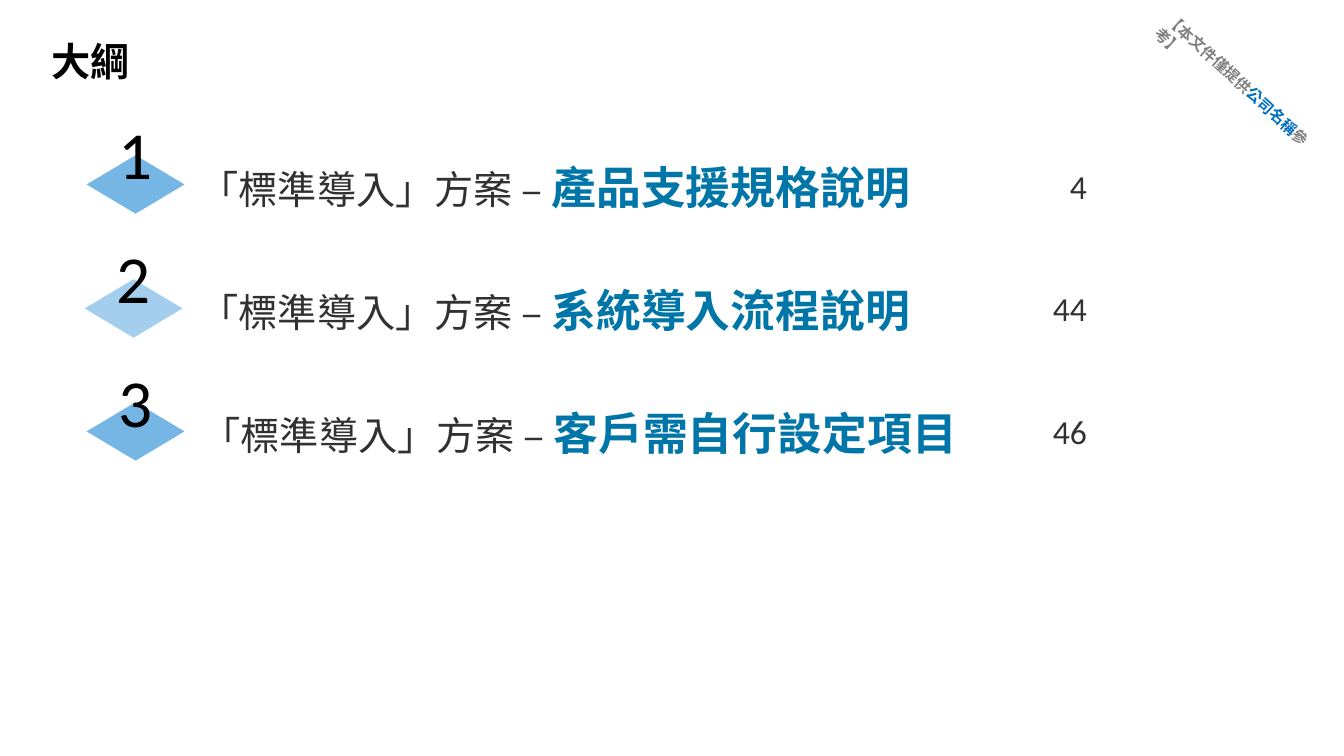
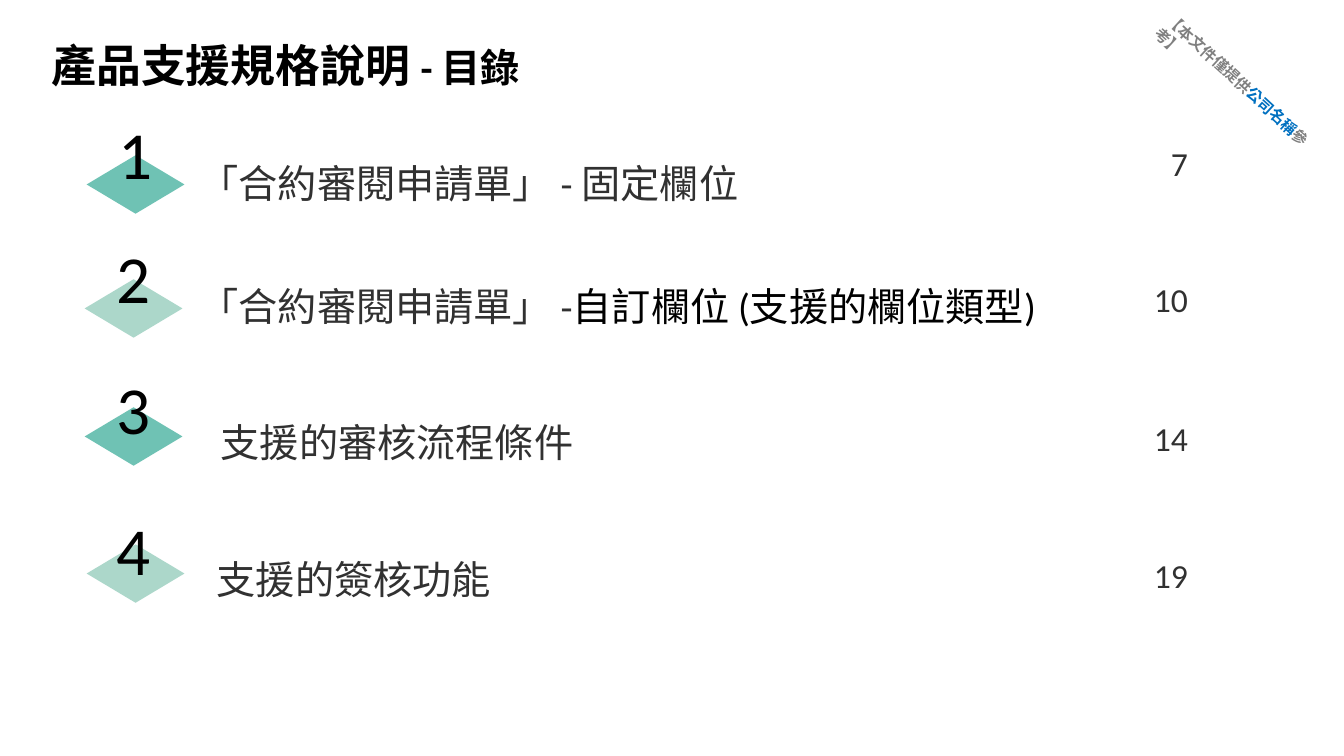
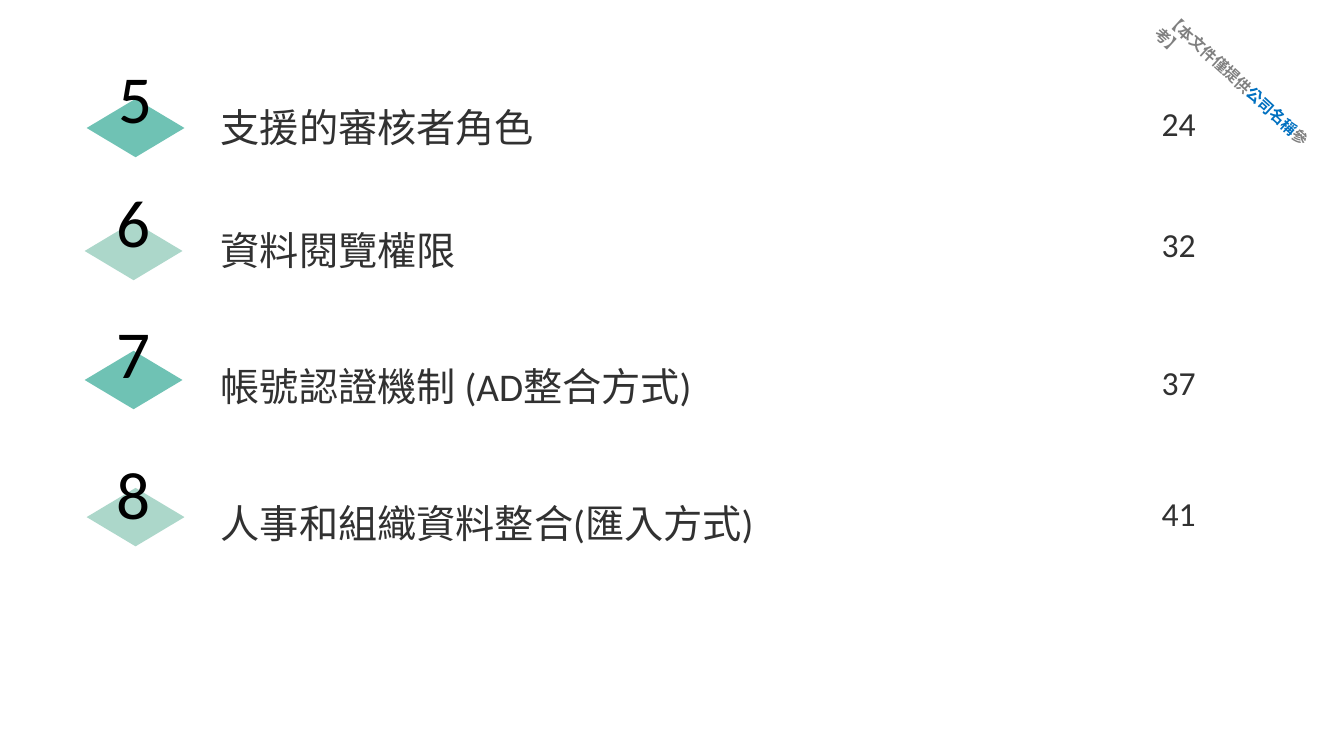
from pptx import Presentation
from pptx import util as u
from pptx.dml.color import RGBColor
from pptx.enum import shapes, text
from pptx.oxml.ns import qn
from lxml import etree

Inches, Pt = u.Inches, u.Pt

THEME = {
    "latin": "Calibri", "cjk": "Noto Sans CJK SC",
    "ink": "313131", "black": "000000", "white": "FFFFFF",
    "topic": "0076A8", "stamp": "808080", "client": "0070C0",
    "blues": ("75B6E5", "A3CEED"), "greens": ("6FC2B4", "ACD7CA"),
    "stamp_size": 11, "page_size": 24, "label_size": 28,
    "topic_size": 32, "number_size": 48,
}
LEFT, CENTER, RIGHT = (text.PP_ALIGN.LEFT, text.PP_ALIGN.CENTER, text.PP_ALIGN.RIGHT)
TOP, MIDDLE = text.MSO_ANCHOR.TOP, text.MSO_ANCHOR.MIDDLE


def add_filled(slide, preset, box, color):
    area = slide.shapes.add_shape(preset, *map(Inches, box))
    area.shadow.inherit = False
    area.fill.solid()
    area.fill.fore_color.rgb = RGBColor.from_string(color)
    area.line.fill.background()
    return area


def write(area, runs, align=LEFT, anchor=MIDDLE, insets=(0, 0, 0, 0)):
    """Fill a shape with one paragraph of (words, style) runs; insets run left, top, right, bottom."""
    frame = area.text_frame
    frame.word_wrap = True
    frame.vertical_anchor = anchor
    for side, inset in zip(("left", "top", "right", "bottom"), insets):
        setattr(frame, f"margin_{side}", Inches(inset))
    paragraph = frame.paragraphs[0]
    paragraph.alignment = align
    for words, (size, color, bold, face) in runs:
        run = paragraph.add_run()
        run.text = words
        for key, value in {"size": Pt(THEME[size]), "bold": bold, "name": THEME[face]}.items():
            setattr(run.font, key, value)
        run.font.color.rgb = RGBColor.from_string(THEME[color])
        properties = run._r.get_or_add_rPr()
        properties.set("lang", "zh-TW")
        properties.find(qn("a:latin")).addnext(
            etree.Element(qn("a:ea"), typeface=THEME["cjk"]))


# Text styles: size, colour, bold, face
LABEL = ("label_size", "ink", False, "latin")
LABEL_BLACK = ("label_size", "black", False, "latin")
TOPIC = ("topic_size", "topic", True, "cjk")
PAGE = ("page_size", "ink", False, "latin")
NUMBER = ("number_size", "black", False, "latin")
TITLE = ("label_size", "black", True, "latin")
TITLE_LARGE = ("topic_size", "black", True, "latin")
STAMP = ("stamp_size", "stamp", True, "cjk")
CLIENT = ("stamp_size", "client", True, "cjk")

PLAN = ("「標準導入」方案 – ", LABEL)

# Each entry: diamond left, diamond top, number left, number top,
# label left, label top, label runs, page top, page
outline = [
    (0.86, 1.54, 0.86, 1.11, 1.98, 1.58, [PLAN, ("產品支援規格說明", TOPIC)], 1.65, "4"),
    (0.84, 2.77, 0.84, 2.34, 1.98, 2.80, [PLAN, ("系統導入流程說明", TOPIC)], 2.86, "44"),
    (0.86, 3.99, 0.86, 3.57, 2.00, 4.02, [PLAN, ("客戶需自行設定項目", TOPIC)], 4.08, "46"),
]
contents = [
    (0.86, 1.54, 0.86, 1.11, 1.98, 1.58, [("「合約審閱申請單」 - 固定欄位", LABEL)], 1.42, "7"),
    (0.84, 2.77, 0.84, 2.34, 1.98, 2.80,
     [("「合約審閱申請單」 -", LABEL), ("自訂欄位 (支援的欄位類型)", LABEL_BLACK)], 2.77, "10"),
    (0.84, 4.04, 0.84, 3.64, 2.19, 4.15, [("支援的審核流程條件", LABEL)], 4.15, "14"),
    (0.86, 5.40, 0.84, 5.04, 2.15, 5.51, [("支援的簽核功能", LABEL)], 5.51, "19"),
]
contents_continued = [
    (0.86, 0.98, 0.86, 0.55, 2.19, 1.02, [("支援的審核者角色", LABEL)], 1.02, "24"),
    (0.84, 2.20, 0.84, 1.78, 2.19, 2.24, [("資料閱覽權限", LABEL)], 2.22, "32"),
    (0.84, 3.48, 0.84, 3.08, 2.19, 3.59, [("帳號認證機制 (AD整合方式)", LABEL)], 3.59, "37"),
    (0.86, 4.84, 0.84, 4.48, 2.19, 4.95, [("人事和組織資料整合(匯入方式)", LABEL)], 4.89, "41"),
]

# Each slide: title runs, diamond colours, first number, entries,
# label height, left of the page column, its right inset
agenda = [
    ([("大綱", TITLE)], "blues", 1, outline, 0.54, 10.37, 0.19),
    ([("產品支援規格說明 ", TITLE_LARGE), ("- 目錄", TITLE)],
     "greens", 1, contents, 0.47, 11.28, 0.1),
    ([], "greens", 5, contents_continued, 0.47, 11.3, 0.04),
]

deck = Presentation()
deck.slide_width, deck.slide_height = Inches(13.33), Inches(7.5)
blank = deck.slide_layouts[6]
RECTANGLE, DIAMOND = shapes.MSO_SHAPE.RECTANGLE, shapes.MSO_SHAPE.DIAMOND

for title, palette, first, entries, label_height, page_left, page_inset in agenda:
    slide = deck.slides.add_slide(blank)
    if title:
        heading = slide.shapes.add_textbox(*map(Inches, (0.51, 0.37, 12.31, 0.5)))
        write(heading, title, anchor=TOP)

    for index, (diamond_left, diamond_top, number_left, number_top,
                label_left, label_top, label, page_top, page) in enumerate(entries):
        label_box = (label_left, label_top, page_left - label_left, label_height)
        write(add_filled(slide, RECTANGLE, label_box, THEME["white"]), label)

        page_box = (page_left, page_top, 0.6, 0.4)
        write(add_filled(slide, RECTANGLE, page_box, THEME["white"]),
              [(page, PAGE)], RIGHT, insets=(0, 0, page_inset, 0))

        add_filled(slide, DIAMOND, (diamond_left, diamond_top, 0.97, 0.58),
                   THEME[palette][index % 2])
        number = slide.shapes.add_textbox(*map(Inches, (number_left, number_top, 0.97, 0.81)))
        write(number, [(str(first + index), NUMBER)], CENTER)

# The stamp is built on a slide, then moved to the layout that all slides share
stamp = deck.slides[0].shapes.add_textbox(*map(Inches, (11.22, 0.75, 2.33, 0.29)))
write(stamp, [("【本文件僅提供", STAMP), ("公司名稱", CLIENT), ("參考】", STAMP)],
      anchor=TOP, insets=(0.1, 0.05, 0.1, 0.05))
stamp.text_frame.auto_size = text.MSO_AUTO_SIZE.SHAPE_TO_FIT_TEXT
stamp.rotation = 42.5
blank.shapes.element.append(stamp.element)

deck.save("out.pptx")
